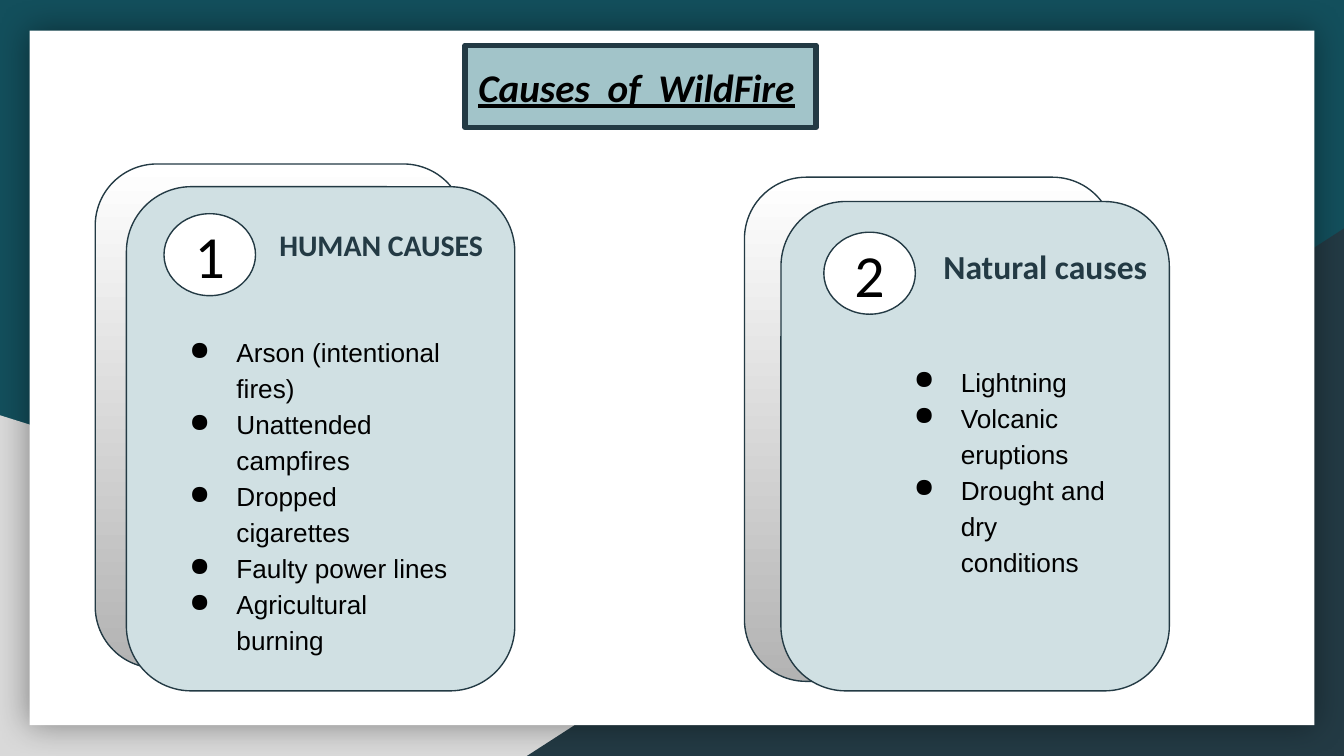
from lxml.etree import SubElement
from pptx import Presentation
from pptx.dml.color import RGBColor
from pptx.enum.shapes import MSO_SHAPE as Preset
from pptx.enum.text import MSO_ANCHOR as Anchor, MSO_AUTO_SIZE as AutoSize, PP_ALIGN as Align
from pptx.oxml.ns import qn
from pptx.util import Cm, Pt

TEAL = RGBColor(0x13, 0x4F, 0x5C)
NAVY = RGBColor(0x23, 0x3A, 0x44)
GREY = RGBColor(0xD9, 0xD9, 0xD9)
MID_GREY = RGBColor(0xB3, 0xB3, 0xB3)
SKY = RGBColor(0xA2, 0xC4, 0xC9)
PALE = RGBColor(0xD0, 0xE0, 0xE3)
WHITE = RGBColor(0xFF, 0xFF, 0xFF)
BLACK = RGBColor(0, 0, 0)

TITLE = "Causes  of  WildFire"

# Boxes are left, top, width, height in centimetres.
CARDS = [
    dict(number="1", heading="HUMAN CAUSES", heading_size=16,
         causes=["Arson (intentional fires)", "Unattended campfires", "Dropped cigarettes",
                 "Faulty power lines", "Agricultural burning"],
         back=(1.8, 3.1, 6.99, 9.53), front=(2.39, 3.53, 7.34, 9.53),
         badge=(3.1, 4.04, 1.73, 1.55), heading_box=(5.03, 4.04, 4.55, 1.19),
         list_box=(2.95, 6.02, 5.84, 6.63)),
    dict(number="2", heading="Natural causes", heading_size=18,
         causes=["Lightning", "Volcanic eruptions", "Drought and dry conditions"],
         back=(14.07, 3.35, 6.99, 9.53), front=(14.76, 3.81, 7.34, 9.25),
         badge=(15.57, 4.39, 1.73, 1.55), heading_box=(17.58, 4.39, 4.55, 1.27),
         list_box=(16.64, 6.58, 4.72, 4.55)),
]


def add_shape(page, preset, box, fill, line_width=None):
    shape = page.shapes.add_shape(preset, *map(Cm, box))
    shape.shadow.inherit = False
    shape.fill.solid()
    shape.fill.fore_color.rgb = fill
    if line_width:
        shape.line.color.rgb = NAVY
        shape.line.width = Pt(line_width)
    else:
        shape.line.fill.background()
    return shape


def add_rounded(page, box, fill):
    shape = add_shape(page, Preset.ROUNDED_RECTANGLE, box, fill, 0.75)
    shape.adjustments[0] = 0.167
    return shape


def add_glow(shape):
    """Soft black shadow on all sides."""
    effects = shape.element.spPr.find(qn("a:effectLst"))
    shadow = SubElement(effects, qn("a:outerShdw"), blurRad=str(Pt(18)), dist="0", dir="0",
                        algn="ctr", rotWithShape="0")
    color = SubElement(shadow, qn("a:srgbClr"), val="000000")
    SubElement(color, qn("a:alpha"), val="40000")


def add_bullet(para):
    properties = para._p.get_or_add_pPr()
    properties.set("marL", str(Cm(1.27)))
    properties.set("indent", str(-Cm(0.89)))
    color = SubElement(properties, qn("a:buClr"))
    SubElement(color, qn("a:srgbClr"), val=str(BLACK))
    SubElement(properties, qn("a:buChar"), char="●")


def write(shape, lines, size, font="Calibri", color=BLACK, align=Align.LEFT,
          anchor=Anchor.MIDDLE, bullets=False, **styles):
    frame = shape.text_frame
    frame.word_wrap = True
    frame.vertical_anchor = anchor
    frame.margin_left = frame.margin_right = frame.margin_top = frame.margin_bottom = Cm(0.25)
    frame.text = "\n".join(lines)
    for para in frame.paragraphs:
        para.alignment = align
        if bullets:
            para.line_spacing = 1.15
            add_bullet(para)
        para.font.name = font
        para.font.size = Pt(size)
        para.font.color.rgb = color
        for style, value in styles.items():
            setattr(para.font, style, value)


def add_text(page, box, lines, size, **styles):
    shape = page.shapes.add_textbox(*map(Cm, box))
    write(shape, lines, size, anchor=Anchor.TOP, **styles)
    shape.text_frame.auto_size = AutoSize.SHAPE_TO_FIT_TEXT


def add_backdrop(page):
    page.background.fill.solid()
    page.background.fill.fore_color.rgb = TEAL
    add_shape(page, Preset.RIGHT_TRIANGLE, (0, 7.85, 20.47, 6.44), GREY)
    corner = add_shape(page, Preset.RIGHT_TRIANGLE, (9.96, 4.32, 15.44, 9.97), NAVY)
    corner.element.spPr.find(qn("a:xfrm")).set("flipH", "1")
    add_glow(add_shape(page, Preset.RECTANGLE, (0.56, 0.58, 24.28, 13.13), WHITE))


def add_card(page, card):
    back = add_rounded(page, card["back"], WHITE)
    back.fill.gradient()
    back.fill.gradient_angle = 270
    for stop, color in zip(back.fill.gradient_stops, (WHITE, MID_GREY)):
        stop.color.rgb = color
    add_rounded(page, card["front"], PALE)
    badge = add_shape(page, Preset.OVAL, card["badge"], WHITE, 0.75)
    write(badge, [card["number"]], 32, align=Align.CENTER)
    add_text(page, card["list_box"], card["causes"], 14, font="Arial", bullets=True)
    add_text(page, card["heading_box"], [card["heading"]], card["heading_size"],
             color=NAVY, bold=True)


def main():
    deck = Presentation()
    deck.slide_width, deck.slide_height = Cm(25.4), Cm(14.29)
    page = deck.slides.add_slide(deck.slide_layouts[6])
    add_backdrop(page)
    title = add_shape(page, Preset.RECTANGLE, (8.79, 0.86, 6.63, 1.55), SKY, 3)
    write(title, [TITLE], 21, bold=True, italic=True, underline=True)
    for card in CARDS:
        add_card(page, card)
    deck.save("out.pptx")


if __name__ == "__main__":
    main()
